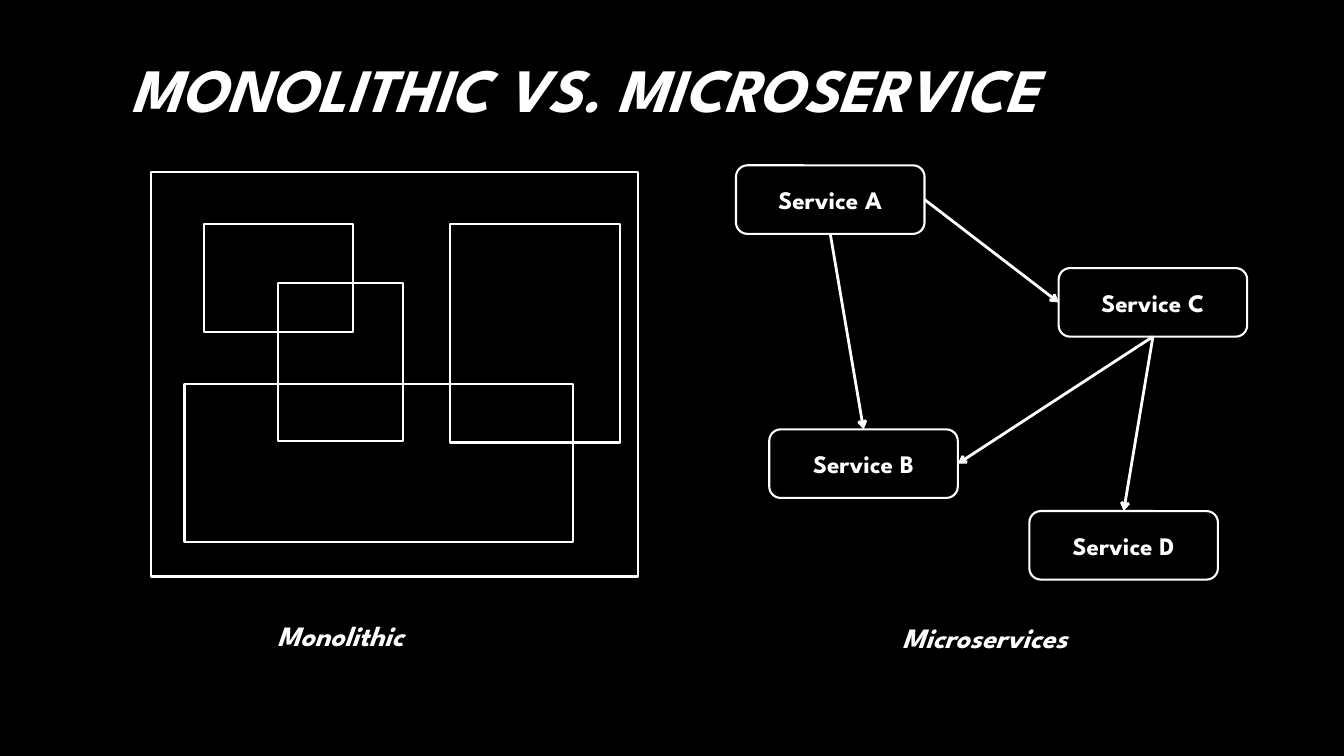
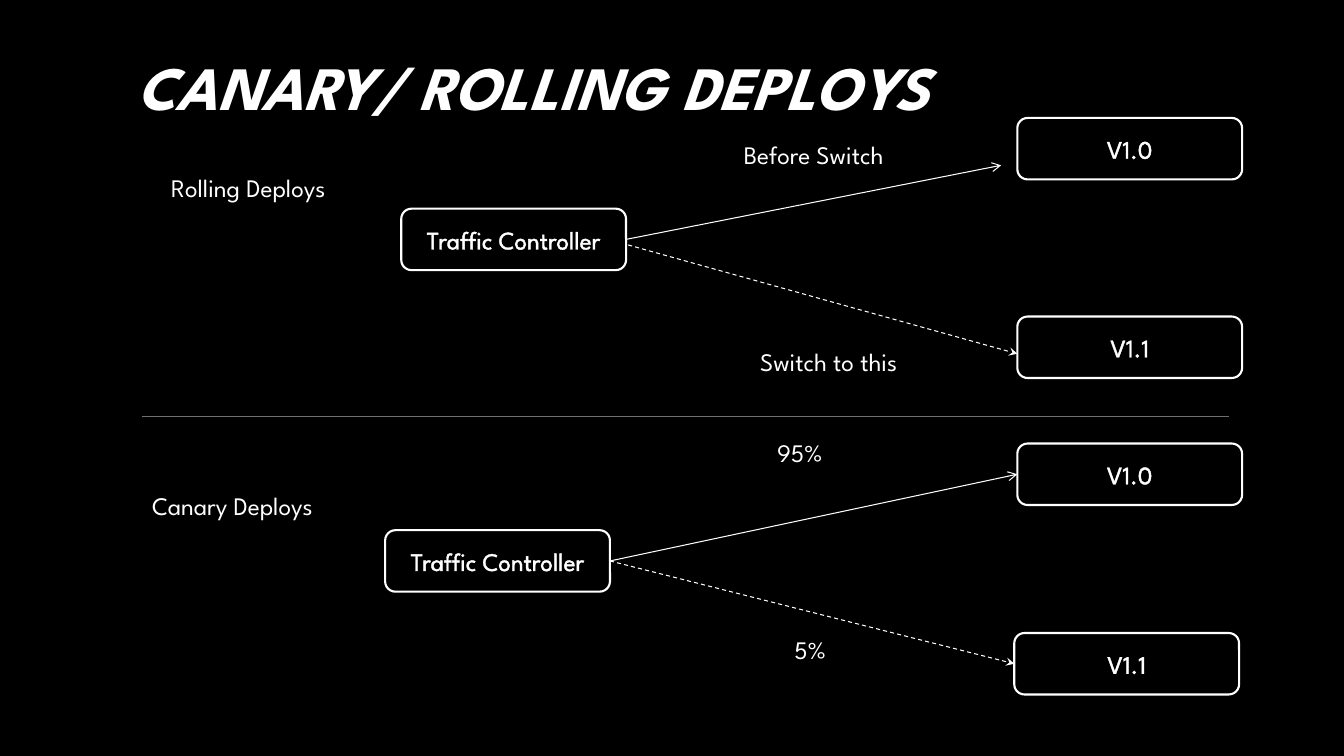
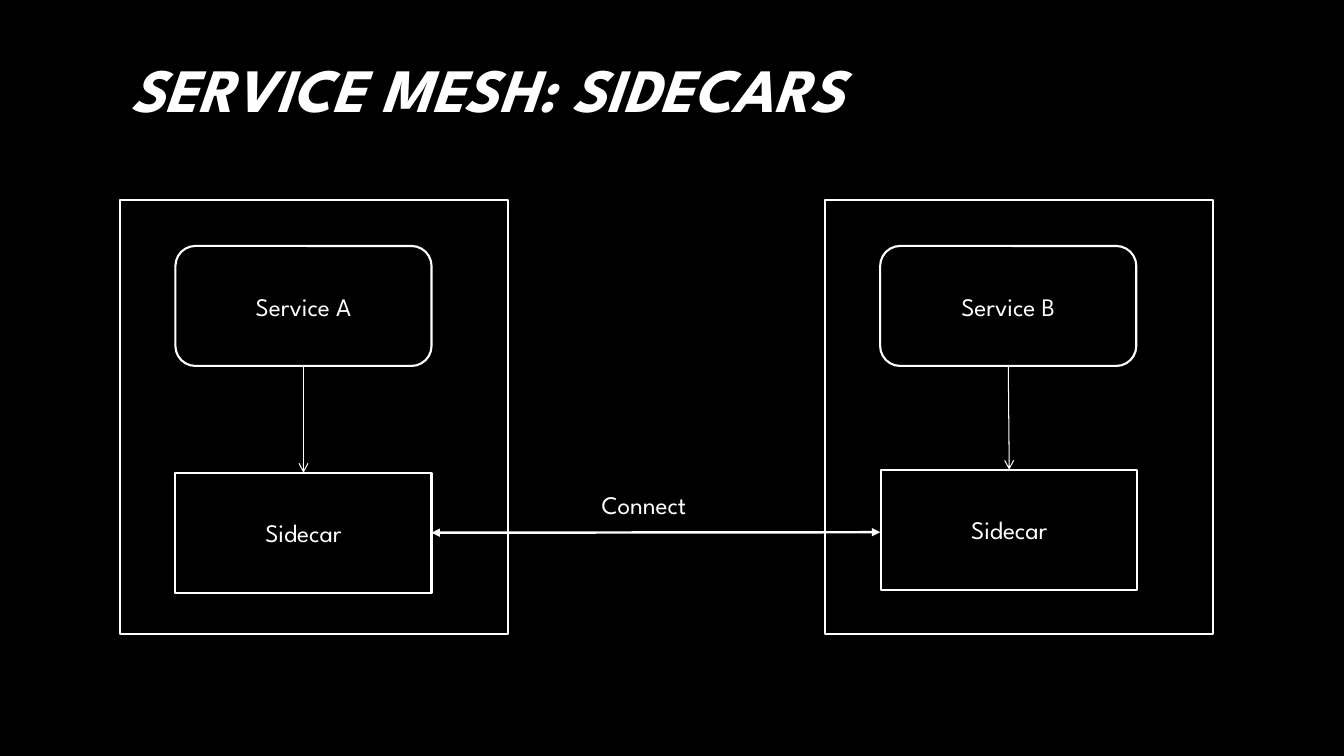
"""Three dark slides on microservices, deployment strategies and service meshes."""
from lxml import etree
from pptx import Presentation
from pptx.dml.color import RGBColor
from pptx.enum.dml import MSO_LINE
from pptx.enum.shapes import MSO_CONNECTOR, MSO_SHAPE
from pptx.enum.text import MSO_ANCHOR, MSO_AUTO_SIZE, PP_ALIGN
from pptx.oxml.ns import qn
from pptx.util import Emu, Pt

PX = 9144
SLIDE_SIZE = (1333, 750)
TITLE_AREA = (119, 3, 1083, 168)

BLACK = RGBColor(0x00, 0x00, 0x00)
WHITE = RGBColor(0xFF, 0xFF, 0xFF)
SILVER = RGBColor(0xA6, 0xA6, 0xA6)
GRAY = RGBColor(0x6F, 0x6F, 0x6F)

RECT = MSO_SHAPE.RECTANGLE
ROUNDED = MSO_SHAPE.ROUNDED_RECTANGLE
STRAIGHT = MSO_CONNECTOR.STRAIGHT
DASH = MSO_LINE.DASH
MIDDLE = MSO_ANCHOR.MIDDLE
FIT_TEXT = MSO_AUTO_SIZE.SHAPE_TO_FIT_TEXT
LEFT_ALIGN = PP_ALIGN.LEFT
CENTER = PP_ALIGN.CENTER
TOP, LEFT, BOTTOM, RIGHT = range(4)

FONT = "League Spartan"
TITLE_FONT = {"name": FONT, "size": Pt(44), "bold": True, "italic": True}
CAPTION_FONT = {"name": FONT, "size": Pt(20), "bold": True, "italic": True}
STRONG_FONT = {"name": FONT, "size": Pt(18), "bold": True}
PLAIN_FONT = {"name": FONT, "size": Pt(18)}

THIN = {"width": Pt(0.75)}
THIN_DASHED = {"width": Pt(0.75), "dash_style": DASH}
OUTLINE = {"width": Pt(1.5)}
MEDIUM = {"width": Pt(1.75)}
THICK = {"width": Pt(2)}


def px(*lengths):
    """Turn lengths in px into a list of EMU."""
    return [Emu(length * PX) for length in lengths]


def apply_format(target, values):
    """Set each attribute named in values on target."""
    for name, value in values.items():
        setattr(target, name, value)


def write(shape, text, font_format, align=LEFT_ALIGN):
    """Write one white paragraph into shape and return its run."""
    paragraph = shape.text_frame.paragraphs[0]
    paragraph.alignment = align
    run = paragraph.add_run()
    run.text = text
    apply_format(run.font, font_format)
    run.font.color.rgb = WHITE
    return run


def outline_letters(run):
    """Draw a thin white outline around the letters of run."""
    outline = etree.Element(qn("a:ln"), w=str(THIN["width"]))
    fill = etree.SubElement(outline, qn("a:solidFill"))
    etree.SubElement(fill, qn("a:srgbClr"), val=str(WHITE))
    run.font._element.insert(0, outline)


def add_titled_slide(prs, heading, area=TITLE_AREA):
    """Add a slide whose title fades from white to silver."""
    slide = prs.slides.add_slide(prs.slide_layouts[5])
    title = slide.shapes.title
    apply_format(title, dict(zip(("left", "top", "width", "height"), px(*area))))
    apply_format(title.text_frame, {"vertical_anchor": MIDDLE, "word_wrap": True})
    fade = write(title, heading, TITLE_FONT).font.fill
    fade.gradient()
    fade.gradient_angle = 267
    for stop, color in zip(fade.gradient_stops, (WHITE, SILVER)):
        stop.color.rgb = color
    return slide


def add_box(slide, kind, area, text="", font_format=PLAIN_FONT, outlined=False):
    """Add an unfilled box with a white border and an optional centred text."""
    box = slide.shapes.add_shape(kind, *px(*area))
    box.shadow.inherit = False
    box.fill.background()
    box.line.color.rgb = WHITE
    apply_format(box.line, OUTLINE)
    box.text_frame.vertical_anchor = MIDDLE
    if text:
        run = write(box, text, font_format, CENTER)
        if outlined:
            outline_letters(run)
    return box


def add_label(slide, area, text, font_format=PLAIN_FONT):
    """Add a free-standing text."""
    label = slide.shapes.add_textbox(*px(*area))
    apply_format(label.text_frame, {"word_wrap": True, "auto_size": FIT_TEXT})
    write(label, text, font_format)


def add_line(slide, start, end, line_format, color=WHITE, head=None, tail=None):
    """Add a line between two ends, each an (x, y) point or a (box, side) pair."""
    points = [pair if isinstance(pair[0], int) else (0, 0) for pair in (start, end)]
    line = slide.shapes.add_connector(STRAIGHT, *px(*points[0], *points[1]))
    for pair, connect in ((start, line.begin_connect), (end, line.end_connect)):
        if not isinstance(pair[0], int):
            connect(*pair)
    line.line.color.rgb = color
    apply_format(line.line, line_format)
    for tag, arrowhead in (("a:headEnd", head), ("a:tailEnd", tail)):
        if arrowhead:
            etree.SubElement(line.line._get_or_add_ln(), qn(tag), type=arrowhead)
    etree.SubElement(line._element.spPr, qn("a:effectLst"))


def build_architectures(prs):
    """Compare overlapping modules with linked services."""
    slide = add_titled_slide(prs, "MONOLITHIC VS. MICROSERVICE")
    for module in ((150, 171, 483, 401), (202, 222, 148, 107), (183, 381, 385, 157),
                   (446, 222, 169, 217), (276, 281, 124, 157)):
        add_box(slide, RECT, module)

    corners = {"A": (730, 164), "C": (1050, 266), "B": (763, 426), "D": (1021, 507)}
    services = {
        letter: add_box(slide, ROUNDED, (*corner, 187, 68), f"Service {letter}", STRONG_FONT)
        for letter, corner in corners.items()
    }
    for caller, exit_side, callee, entry_side in (
            ("A", RIGHT, "C", LEFT), ("A", BOTTOM, "B", TOP),
            ("C", BOTTOM, "B", RIGHT), ("C", BOTTOM, "D", TOP)):
        add_line(slide, (services[caller], exit_side), (services[callee], entry_side),
                 THICK, tail="arrow")

    add_label(slide, (265, 609, 230, 44), "Monolithic", CAPTION_FONT)
    add_label(slide, (885, 611, 230, 44), "Microservices", CAPTION_FONT)


def build_deploys(prs):
    """Show how traffic moves to a new version in two kinds of deploy."""
    slide = add_titled_slide(prs, "CANARY/ ROLLING DEPLOYS", (125, 1, 1094, 168))
    add_line(slide, (141, 413), (1219, 413), THIN, GRAY)

    rolling, rolling_old, rolling_new, canary, canary_old, canary_new = [
        add_box(slide, ROUNDED, (left, top, 223, 61), text, outlined=True)
        for left, top, text in (
            (398, 207, "Traffic Controller"), (1009, 117, "V1.0"), (1009, 314, "V1.1"),
            (382, 526, "Traffic Controller"), (1009, 440, "V1.0"), (1006, 628, "V1.1"))
    ]
    add_line(slide, (rolling, RIGHT), (993, 164), THIN, tail="arrow")
    add_line(slide, (623, 243), (1009, 351), THIN_DASHED, tail="stealth")
    add_line(slide, (canary, RIGHT), (canary_old, LEFT), THIN, tail="arrow")
    add_line(slide, (canary, RIGHT), (canary_new, LEFT), THIN_DASHED, tail="stealth")

    for left, top, width, text in (
            (160, 166, 220, "Rolling Deploys"), (141, 482, 220, "Canary Deploys"),
            (728, 133, 194, "Before Switch"), (744, 339, 194, "Switch to this"),
            (761, 429, 194, "95%"), (778, 624, 194, "5%")):
        add_label(slide, (left, top, width, 40), text)


def build_sidecars(prs):
    """Show two services that talk through their sidecars."""
    slide = add_titled_slide(prs, "SERVICE MESH: SIDECARS")
    sidecars = []
    for letter, pod_left, sidecar_left, sidecar_top in (
            ("A", 119, 174, 469), ("B", 818, 874, 466)):
        add_box(slide, RECT, (pod_left, 198, 385, 431))
        service = add_box(slide, ROUNDED, (pod_left + 55, 244, 254, 119), f"Service {letter}")
        sidecar = add_box(slide, RECT, (sidecar_left, sidecar_top, 254, 119), "Sidecar")
        add_line(slide, (service, BOTTOM), (sidecar, TOP), THIN, tail="arrow")
        sidecars.append(sidecar)
    add_line(slide, (sidecars[0], RIGHT), (873, 528), MEDIUM, head="triangle", tail="triangle")
    add_label(slide, (587, 481, 194, 40), "Connect")


def main():
    """Build and save the presentation."""
    prs = Presentation()
    prs.slide_width, prs.slide_height = px(*SLIDE_SIZE)
    backdrop = prs.slide_master.background.fill
    backdrop.solid()
    backdrop.fore_color.rgb = BLACK
    build_architectures(prs)
    build_deploys(prs)
    build_sidecars(prs)
    prs.save("out.pptx")


if __name__ == "__main__":
    main()
